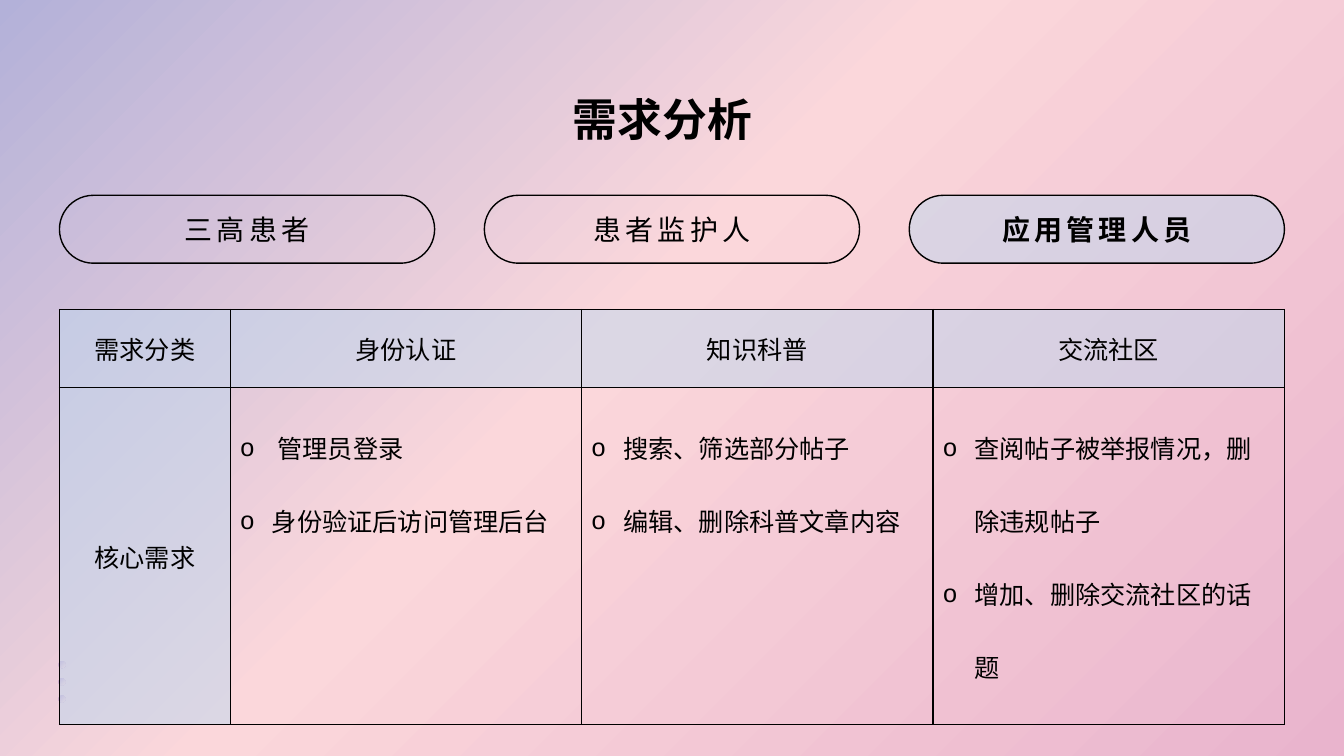
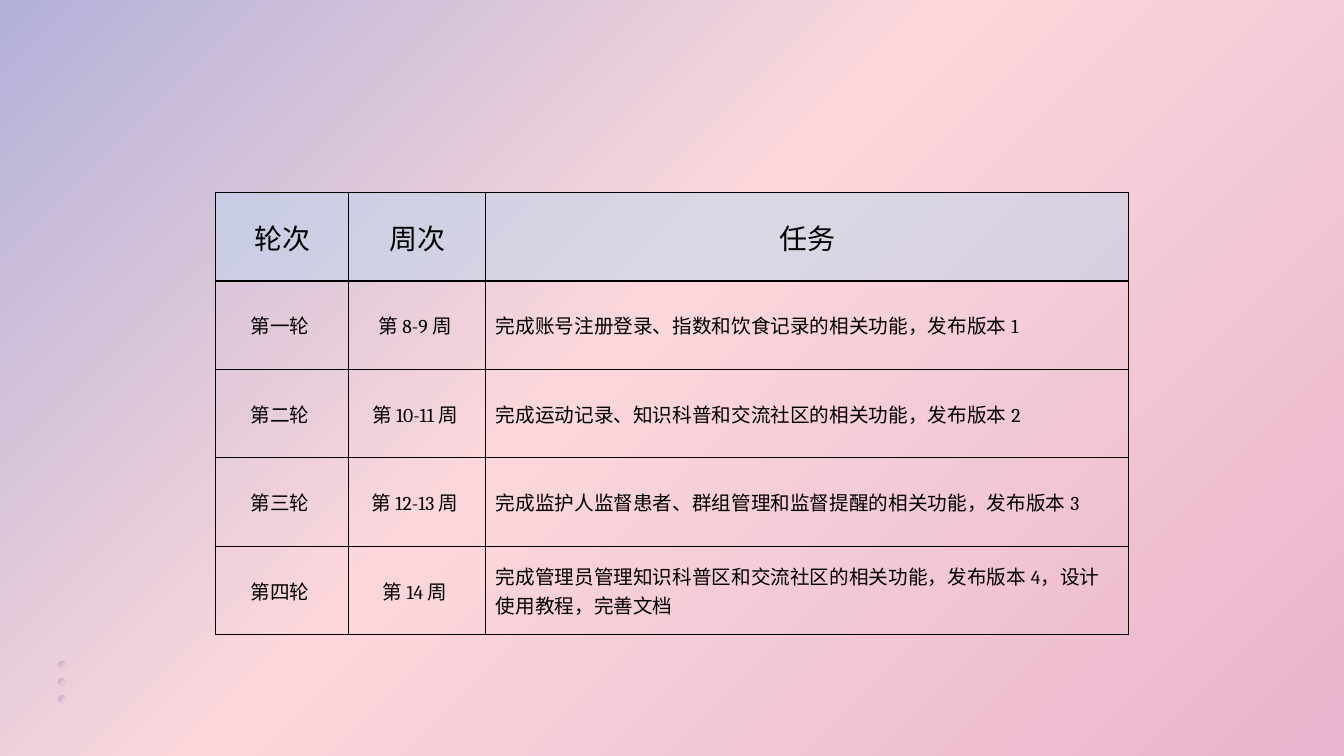
from copy import deepcopy

from lxml import etree
from pptx import Presentation
from pptx.dml.color import RGBColor
from pptx.enum.lang import MSO_LANGUAGE_ID
from pptx.enum.shapes import MSO_SHAPE
from pptx.enum.text import MSO_ANCHOR, PP_ALIGN
from pptx.oxml.ns import qn
from pptx.util import Pt

OVAL, PILL = MSO_SHAPE.OVAL, MSO_SHAPE.ROUNDED_RECTANGLE
LEFT, CENTER = PP_ALIGN.LEFT, PP_ALIGN.CENTER
TOP, MIDDLE = MSO_ANCHOR.TOP, MSO_ANCHOR.MIDDLE
CHINESE = MSO_LANGUAGE_ID.SIMPLIFIED_CHINESE
TITLE_ONLY, BLANK = 5, 6

BLACK = RGBColor(0x00, 0x00, 0x00)
PALE_BLUE = RGBColor(0xBD, 0xD7, 0xEE)
LILAC = RGBColor(0xB3, 0xB1, 0xD9)
BLUSH = RGBColor(0xFB, 0xD7, 0xDB)
ROSE = RGBColor(0xE9, 0xB4, 0xCD)
MAUVE = RGBColor(0xC6, 0xA7, 0xD0)

TITLE_FORMAT = {"name": "Noto Sans CJK JP", "size": Pt(32), "bold": True}
TAB_FORMAT = {"name": "Arial", "size": Pt(20), "bold": False}
ACTIVE_TAB_FORMAT = {**TAB_FORMAT, "bold": True}
NEED_FORMAT = {"name": "Arial", "size": Pt(18)}
HEAD_FORMAT = {"name": "Arial", "size": Pt(20)}
ROUND_FORMAT = {"name": "Roboto", "size": Pt(14)}
NUMBER_FORMAT = {**ROUND_FORMAT, "name": "Cambria"}

ROLES = ["三高患者", "患者监护人", "应用管理人员"]
NEED_HEADS = ["需求分类", "身份认证", "知识科普", "交流社区"]
NEEDS = [
    [" 管理员登录", "身份验证后访问管理后台"],
    ["搜索、筛选部分帖子", "编辑、删除科普文章内容"],
    ["查阅帖子被举报情况，删除违规帖子", "增加、删除交流社区的话题"],
]
ROUND_HEADS = ["轮次", "周次", "任务"]
# A bar separates Chinese text from the numbers, which have their own font.
ROUNDS = [
    ["第一轮 ", "第 |8-9 |周 ",
     "完成账号注册登录、指数和饮食记录的相关功能，发布版本 |1"],
    ["第二轮 ", "第 |10-11 |周 ",
     "完成运动记录、知识科普和交流社区的相关功能，发布版本 |2"],
    ["第三轮 ", "第 |12-13 |周 ",
     "完成监护人监督患者、群组管理和监督提醒的相关功能，发布版本 |3"],
    ["第四轮 ", "第 |14 |周 ",
     "完成管理员管理知识科普区和交流社区的相关功能，发布版本 |4|，设计使用教程，完善文档"],
]


def assign(target, values):
    for name, value in values.items():
        setattr(target, name, value)


def paint_gradient(fill, colors):
    """Fill diagonally with a dict of position to colour."""
    fill.gradient()
    fill.gradient_angle = 315
    last = fill.gradient_stops[-1]._gs
    for _ in range(len(colors) - 2):
        last.addnext(deepcopy(last))
    for stop, (position, color) in zip(fill.gradient_stops, colors.items()):
        stop.position = position
        stop.color.rgb = color


def paint_half_clear(fill, properties):
    fill.solid()
    fill.fore_color.rgb = PALE_BLUE
    color = properties.find(qn("a:solidFill")).find(qn("a:srgbClr"))
    etree.SubElement(color, qn("a:alpha"), val="50000")


def add_span(para, text, values):
    span = para.add_run()
    span.text = text
    assign(span.font, {**values, "language_id": CHINESE})
    span.font.color.rgb = BLACK
    return span


def add_bullet(para):
    properties = para._p.get_or_add_pPr()
    indent = Pt(22.5)
    properties.set("marL", str(indent))
    properties.set("indent", str(-indent))
    etree.SubElement(properties, qn("a:buFont"), typeface="Arial")
    etree.SubElement(properties, qn("a:buChar"), char="o")
    para.line_spacing = 2.0


def style_master(deck, page):
    """Give the master its background and dots; page lends its shape tools."""
    master = deck.slide_master
    paint_gradient(master.background.fill, {0: LILAC, 0.45: BLUSH, 1: ROSE})
    for number in range(3):
        dot = page.shapes.add_shape(
            OVAL, Pt(41.8), Pt(472.3 + 12.25 * number), Pt(5), Pt(5))
        dot.shadow.inherit = False
        dot.line.fill.background()
        paint_gradient(dot.fill, {0: MAUVE, 1: BLUSH})
        dot.element.nvSpPr.cNvPr.set("id", str(100 + number))
        master.shapes.element.append(dot.element)


def place_title(page, text, left, top, width, height):
    title = page.shapes.title
    assign(title, {"left": Pt(left), "top": Pt(top),
                   "width": Pt(width), "height": Pt(height)})
    assign(title.text_frame, {
        "margin_left": 0, "margin_right": 0, "margin_top": 0,
        "margin_bottom": 0, "word_wrap": True, "vertical_anchor": MIDDLE})
    para = title.text_frame.paragraphs[0]
    para.alignment = LEFT
    add_span(para, text, TITLE_FORMAT)


def add_tabs(page, labels, active, left, top, width, height):
    tab_width = 268
    step = (width - tab_width) / (len(labels) - 1)
    for number, label in enumerate(labels):
        tab = page.shapes.add_shape(
            PILL, Pt(left + step * number), Pt(top), Pt(tab_width), Pt(height))
        tab.adjustments[0] = 0.5
        tab.shadow.inherit = False
        if label == active:
            paint_half_clear(tab.fill, tab.element.spPr)
        else:
            tab.fill.background()
        tab.line.color.rgb = BLACK
        tab.line.width = Pt(1)
        tab.text_frame.vertical_anchor = MIDDLE
        para = tab.text_frame.paragraphs[0]
        para.alignment = CENTER
        values = ACTIVE_TAB_FORMAT if label == active else TAB_FORMAT
        span = add_span(para, label, values)
        span.font._element.set("spc", "300")


def style_cell(cell, tinted, anchor=MIDDLE):
    cell.vertical_anchor = anchor
    properties = cell._tc.get_or_add_tcPr()
    if tinted:
        paint_half_clear(cell.fill, properties)
    else:
        cell.fill.background()
    for position, side in enumerate(("lnL", "lnR", "lnT", "lnB")):
        border = etree.Element(qn("a:" + side), w=str(Pt(1)))
        color = etree.SubElement(border, qn("a:solidFill"))
        etree.SubElement(color, qn("a:srgbClr"), val=str(BLACK))
        properties.insert(position, border)


def write_cell(cell, text, values, alignment=CENTER):
    para = cell.text_frame.paragraphs[0]
    para.alignment = alignment
    for number, part in enumerate(text.split("|")):
        add_span(para, part, NUMBER_FORMAT if number % 2 else values)


def add_grid(page, left, top, widths, heights):
    frame = page.shapes.add_table(
        len(heights), len(widths), Pt(left), Pt(top),
        Pt(sum(widths)), Pt(sum(heights)))
    table = frame.table
    assign(table, {"first_row": False, "horz_banding": False})
    for column, width in zip(table.columns, widths):
        column.width = Pt(width)
    for row, height in zip(table.rows, heights):
        row.height = Pt(height)
    return table


def add_needs_table(page, left, top):
    table = add_grid(page, left, top, [122] + [251] * 3, [56, 240.5])
    for column, head in enumerate(NEED_HEADS):
        style_cell(table.cell(0, column), True)
        write_cell(table.cell(0, column), head, NEED_FORMAT)
    style_cell(table.cell(1, 0), True)
    write_cell(table.cell(1, 0), "核心需求", NEED_FORMAT)
    for column, items in enumerate(NEEDS, 1):
        cell = table.cell(1, column)
        style_cell(cell, False, TOP)
        frame = cell.text_frame
        for number, item in enumerate(items):
            para = frame.add_paragraph() if number else frame.paragraphs[0]
            add_bullet(para)
            add_span(para, item, NEED_FORMAT)


def add_rounds_table(page, left, top):
    table = add_grid(page, left, top, [95, 98, 459], [63.2] * 5)
    for row, texts in enumerate([ROUND_HEADS] + ROUNDS):
        is_head = row == 0
        for column, text in enumerate(texts):
            cell = table.cell(row, column)
            style_cell(cell, is_head)
            write_cell(cell, text, HEAD_FORMAT if is_head else ROUND_FORMAT,
                       CENTER if is_head or column < 2 else LEFT)


def build_needs_page(page):
    place_title(page, "需求分析", 409, 65, 142, 39)
    add_tabs(page, ROLES, ROLES[-1], 42.5, 139.5, 875, 48.5)
    add_needs_table(page, 42.5, 221)


def main():
    deck = Presentation()
    assign(deck, {"slide_width": Pt(960), "slide_height": Pt(540)})
    needs_page = deck.slides.add_slide(deck.slide_layouts[TITLE_ONLY])
    style_master(deck, needs_page)
    build_needs_page(needs_page)
    rounds_page = deck.slides.add_slide(deck.slide_layouts[BLANK])
    add_rounds_table(rounds_page, 154, 137.5)
    deck.save("out.pptx")


if __name__ == "__main__":
    main()
